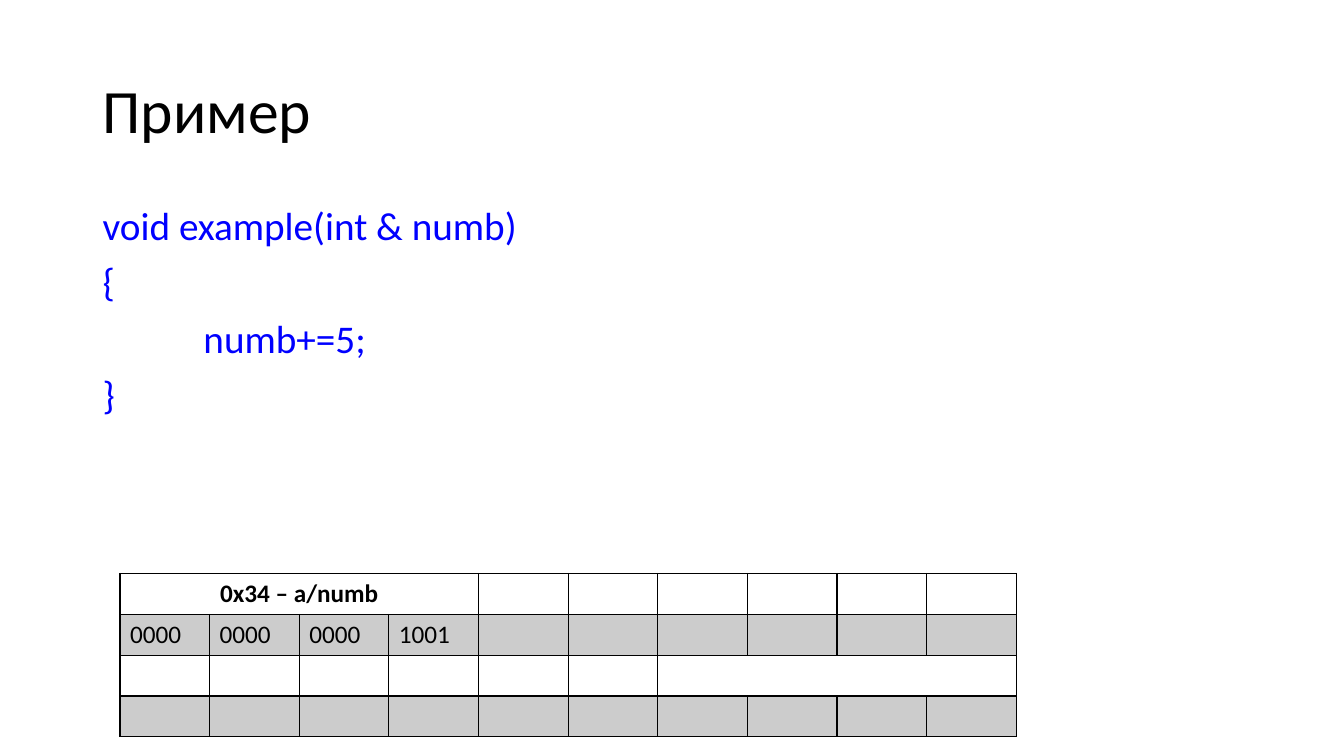
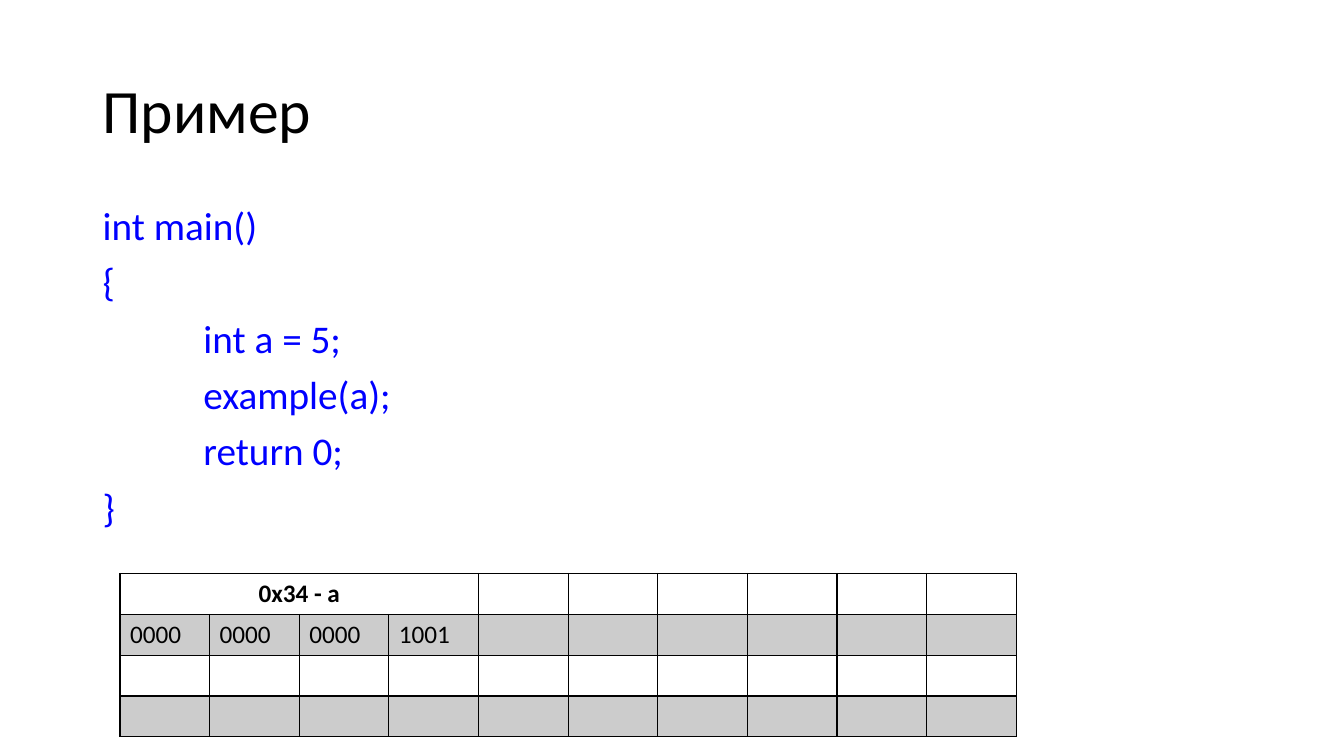
from dataclasses import dataclass

from lxml.etree import SubElement
from pptx import Presentation
from pptx.dml.color import RGBColor as RGB
from pptx.enum.text import MSO_ANCHOR as ANCHOR, PP_ALIGN as ALIGN
from pptx.oxml.ns import qn
from pptx.util import Inches, Pt


@dataclass(frozen=True)
class Theme:
    font: str = "Calibri"
    black: RGB = RGB(0, 0, 0)
    code: RGB = RGB(0, 0, 255)
    white: RGB = RGB(255, 255, 255)
    band: RGB = RGB(204, 204, 204)
    title_size: int = 44
    code_size: int = 28
    cell_size: int = 18
    line: int = 1


theme = Theme()
TITLE = "Пример"
COLS, ROWS = 10, 4
BYTES = ["0000", "0000", "0000", "1001"]
SLIDES = [
    (["void example(int & numb)", "{", "\tnumb+=5;", "}"], "0x34 – a/numb", [(0, 0, 3), (2, 6, 9)]),
    (["int main()", "{", "\tint a = 5;", "\texample(a);", "\treturn 0;", "}"], "0x34 - a", [(0, 0, 3)]),
]


def style(p, size, color, bold=False):
    for f in [p.font] + [r.font for r in p.runs]:
        f.name, f.size, f.bold = theme.font, Pt(size), bold
        f.color.rgb = color


def border(cell, side):
    ln = SubElement(cell._tc.get_or_add_tcPr(), qn(f"a:ln{side}"), w=str(Pt(theme.line)))
    fill = SubElement(ln, qn("a:solidFill"))
    SubElement(fill, qn("a:srgbClr"), val=str(theme.black))


prs = Presentation()
prs.slide_width, prs.slide_height = Inches(13.33), Inches(7.5)

for code, label, merges in SLIDES:
    s = prs.slides.add_slide(prs.slide_layouts[6])

    tf = s.shapes.add_textbox(Inches(0.92), Inches(0.4), Inches(11.5), Inches(1.45)).text_frame
    tf.word_wrap = True
    tf.vertical_anchor = ANCHOR.MIDDLE
    tf.text = TITLE
    tf.paragraphs[0].line_spacing = 0.9
    style(tf.paragraphs[0], theme.title_size, theme.black)

    tf = s.shapes.add_textbox(Inches(0.92), Inches(2), Inches(11.5), Inches(4.76)).text_frame
    tf.word_wrap = True
    tf.text = "\n".join(code)
    for p in tf.paragraphs:
        p.line_spacing = 0.9
        p.space_before = Pt(10)
        tabs = SubElement(p._p.get_or_add_pPr(), qn("a:tabLst"))
        SubElement(tabs, qn("a:tab"), pos=str(Inches(1)), algn="l")
        style(p, theme.code_size, theme.code)

    table = s.shapes.add_table(ROWS, COLS, Inches(1.19), Inches(5.69), Inches(8.89), Inches(1.62)).table
    table.first_row = table.horz_banding = False
    for row, first, last in merges:
        table.cell(row, first).merge(table.cell(row, last))
    table.cell(0, 0).text = label
    for col, byte in enumerate(BYTES):
        table.cell(1, col).text = byte

    for row in range(ROWS):
        for col in range(COLS):
            cell = table.cell(row, col)
            for side in "LRTB":
                border(cell, side)
            cell.fill.solid()
            cell.fill.fore_color.rgb = theme.band if row % 2 else theme.white
            p = cell.text_frame.paragraphs[0]
            p.alignment = ALIGN.LEFT if row else ALIGN.CENTER
            style(p, theme.cell_size, theme.black, bold=row == 0)

prs.save("out.pptx")
